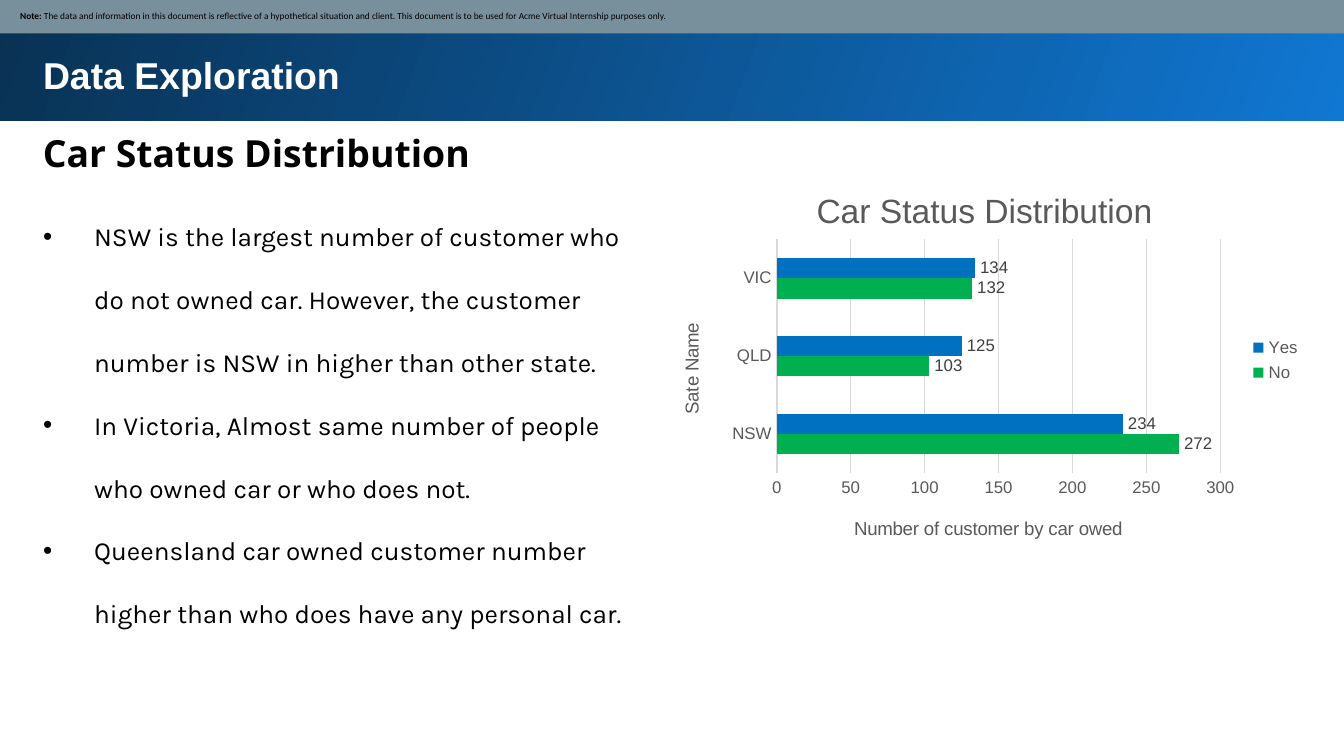
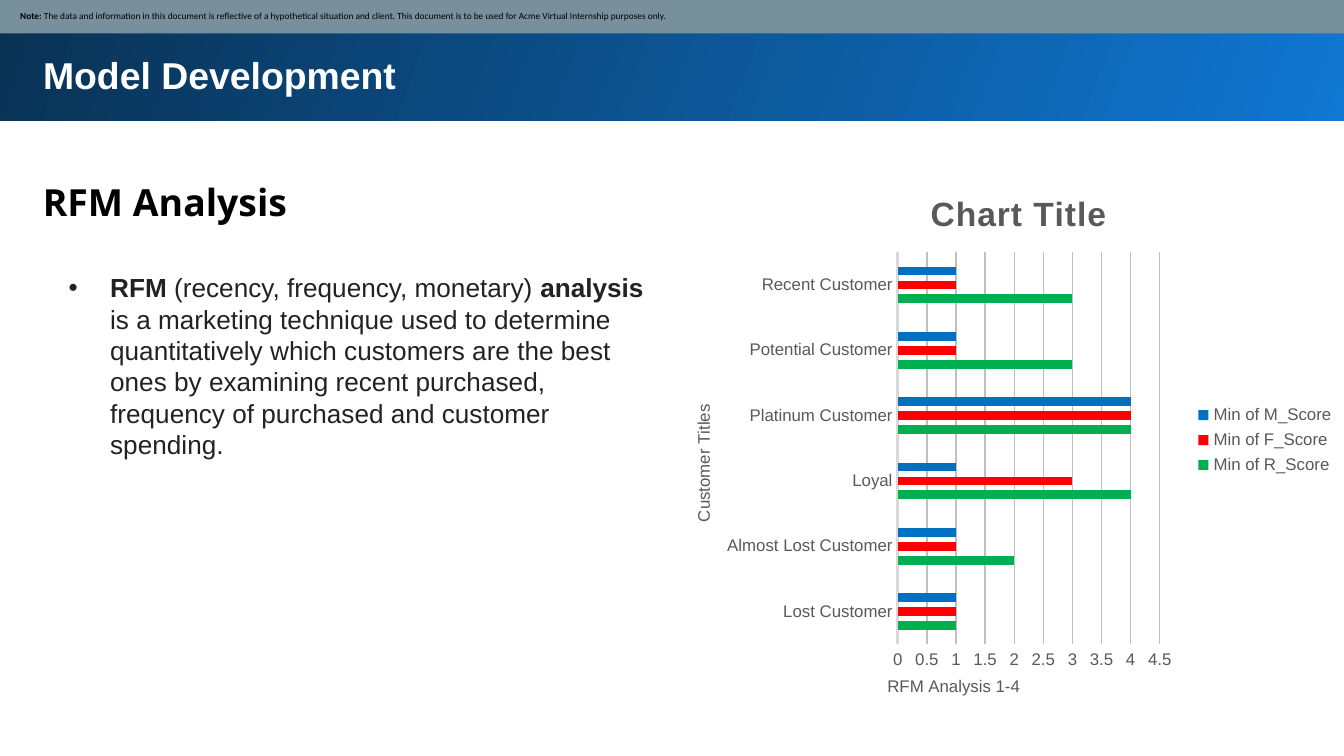
import pptx
import pptx.util
import pptx.chart.data
import pptx.dml.color
import pptx.enum.chart
import pptx.enum.shapes
import pptx.enum.text
import pptx.oxml
import pptx.oxml.ns

RGBColor = pptx.dml.color.RGBColor
Pt = pptx.util.Pt

WHITE = RGBColor(0xFF, 0xFF, 0xFF)
BLACK = RGBColor(0x00, 0x00, 0x00)
INK = RGBColor(0x22, 0x22, 0x22)
SLATE = RGBColor(0x78, 0x90, 0x9C)
BAND_BRIGHT = RGBColor(0x10, 0x77, 0xD2)
BAND_DARK = RGBColor(0x09, 0x31, 0x53)
GREY = RGBColor(0x59, 0x59, 0x59)
LABEL_GREY = RGBColor(0x40, 0x40, 0x40)
LIGHT = RGBColor(0xD9, 0xD9, 0xD9)
MID_LIGHT = RGBColor(0xBF, 0xBF, 0xBF)
BLUE = RGBColor(0x00, 0x70, 0xC0)
GREEN = RGBColor(0x00, 0xB0, 0x50)
RED = RGBColor(0xFF, 0x00, 0x00)

CELL = pptx.util.Inches(0.1)
COLS, ROWS = 100, 56.25
NOTE = ("The data and information in this document is reflective of a hypothetical "
        "situation and client. This document is to be used for Acme Virtual "
        "Internship purposes only.")


def grid(*cells):
    return [round(c * CELL) for c in cells]


def place(sp, box):
    sp.left, sp.top, sp.width, sp.height = grid(*box)


def set_font(font, size, color, name="Arial", bold=False):
    font.size, font.name, font.bold = Pt(size), name, bold
    font.color.rgb = color


def set_frame(sp, inset_x=1, inset_y=1, anchor=pptx.enum.text.MSO_ANCHOR.TOP):
    tf = sp.text_frame
    tf.word_wrap = True
    tf.auto_size = pptx.enum.text.MSO_AUTO_SIZE.NONE
    tf.vertical_anchor = anchor
    tf.margin_left = tf.margin_right = round(inset_x * CELL)
    tf.margin_top = tf.margin_bottom = round(inset_y * CELL)
    return tf


def add_rect(s, box):
    sp = s.shapes.add_shape(pptx.enum.shapes.MSO_SHAPE.RECTANGLE, *grid(*box))
    sp.shadow.inherit = False
    sp.line.fill.background()
    return sp


def add_bands(s):
    band = add_rect(s, (-0.2, -0.2, COLS + 0.5, 9.2))
    band.fill.gradient()
    band.fill.gradient_angle = 160
    for stop, color in zip(band.fill.gradient_stops, (BAND_BRIGHT, BAND_DARK)):
        stop.color.rgb = color
    band.element.getparent().insert(2, band.element)

    strip = add_rect(s, (-0.1, -0.1, COLS + 0.3, 2.6))
    strip.fill.solid()
    strip.fill.fore_color.rgb = SLATE
    tf = set_frame(strip, 1.6, 0.5, pptx.enum.text.MSO_ANCHOR.MIDDLE)
    p = tf.paragraphs[0]
    p.alignment = pptx.enum.text.PP_ALIGN.LEFT
    set_font(p.font, 5, BLACK, "Calibri")
    add_runs(p, [("Note: ", True), (NOTE, False)])


def add_runs(p, runs):
    for text, bold in runs:
        r = p.add_run()
        r.text, r.font.bold = text, bold


def write_line(sp, text, color, font, spacing):
    p = set_frame(sp).paragraphs[0]
    p.text = text
    p.alignment = pptx.enum.text.PP_ALIGN.LEFT
    p.line_spacing = spacing
    set_font(p.font, 20, color, font, True)


def new_slide(prs, title, heading, heading_row):
    s = prs.slides.add_slide(prs.slide_layouts[1])
    add_bands(s)
    place(s.shapes.title, (2.2, 2.9, 93.7, 5.4))
    write_line(s.shapes.title, title, WHITE, "Arial", 1.0)
    sp = s.shapes.add_textbox(*grid(2.2, heading_row, 93.7, 5.6))
    write_line(sp, heading, BLACK, "Open Sans", 1.15)
    return s


def fill_list(s, box, items, font, color, spacing, indent):
    sp = s.placeholders[1]
    place(sp, box)
    tf = set_frame(sp, 1, 0.5)
    for i, runs in enumerate(items):
        p = tf.add_paragraph() if i else tf.paragraphs[0]
        p.line_spacing, p.space_before = spacing, Pt(0)
        set_font(p.font, 14, color, font)
        pPr = p._p.get_or_add_pPr()
        pPr.set("marL", str(round(indent * CELL)))
        pPr.set("indent", str(round(-indent * CELL)))
        add_runs(p, runs)


def manual_layout(x, y, w=None, h=None):
    tags = [("xMode", "edge"), ("yMode", "edge"), ("x", x), ("y", y)]
    if w:
        tags = [("layoutTarget", "inner")] + tags + [("w", w), ("h", h)]
    inner = "".join(f'<c:{tag} val="{val}"/>' for tag, val in tags)
    return pptx.oxml.parse_xml(
        f'<c:layout {pptx.oxml.ns.nsdecls("c")}><c:manualLayout>{inner}'
        "</c:manualLayout></c:layout>")


def set_layout(parent, layout, index):
    for old in parent.findall(pptx.oxml.ns.qn("c:layout")):
        parent.remove(old)
    parent.insert(index, layout)


def set_title(title, text, size, spot, bold=False):
    p = title.text_frame.paragraphs[0]
    p.text = text
    set_font(p.font, size, GREY, bold=bold)
    set_layout(title._element, manual_layout(*spot), 1)
    return p


def style_axis(axis, title, size, spot):
    axis.major_tick_mark = axis.minor_tick_mark = pptx.enum.chart.XL_TICK_MARK.NONE
    set_font(axis.tick_labels.font, 9, GREY)
    set_title(axis.axis_title, title, size, spot)


def add_bars(s, box, cats, series, plot_box, gap, overlap, scale, grid_color, axis_width):
    data = pptx.chart.data.CategoryChartData()
    data.categories = cats
    for name, vals, _ in series:
        data.add_series(name, vals)
    chart = s.shapes.add_chart(pptx.enum.chart.XL_CHART_TYPE.BAR_CLUSTERED,
                               *grid(*box), data).chart
    set_font(chart.font, 10, BLACK)
    chart.has_legend = True
    chart.legend.position = pptx.enum.chart.XL_LEGEND_POSITION.RIGHT
    chart.legend.include_in_layout = False
    set_font(chart.legend.font, 9, GREY)

    plot = chart.plots[0]
    plot.vary_by_categories = False
    plot.gap_width, plot.overlap = gap, overlap
    for ser, (_, _, color) in zip(plot.series, series):
        ser.format.fill.solid()
        ser.format.fill.fore_color.rgb = color
    set_layout(plot._element.getparent(), manual_layout(*plot_box), 0)

    chart.category_axis.format.line.color.rgb = LIGHT
    chart.category_axis.format.line.width = Pt(axis_width)
    axis = chart.value_axis
    axis.minimum_scale = 0
    axis.maximum_scale, axis.major_unit = scale
    axis.format.line.fill.background()
    axis.major_gridlines.format.line.color.rgb = grid_color
    axis.major_gridlines.format.line.width = Pt(0.75)
    return chart


def show_values(chart):
    for ser in chart.plots[0].series:
        labels = ser.data_labels
        labels.show_value = True
        labels.position = pptx.enum.chart.XL_LABEL_POSITION.OUTSIDE_END
        set_font(labels.font, 9, LABEL_GREY)


def data_exploration(prs):
    s = new_slide(prs, "Data Exploration", "Car Status Distribution", 8.2)
    points = [
        "NSW is the largest number of customer who do not owned car. However, "
        "the customer number is NSW in higher than other state.",
        "In Victoria, Almost same number of people who owned car or who does not.",
        "Queensland car owned customer number higher than who does have any personal car.",
    ]
    fill_list(s, (2.2, 13.6, 46.9, 33.3), [[(t, False)] for t in points],
              "Karla", BLACK, 2.0, 3.8)
    chart = add_bars(
        s, (47.8, 11.8, 50, 30), ["NSW", "QLD", "VIC"],
        [("No", (272, 103, 132), GREEN), ("Yes", (234, 125, 134), BLUE)],
        (0.2, 0.2, 0.66, 0.58), 182, 0, (300, 50), LIGHT, 0.75)
    set_title(chart.chart_title, "Car Status Distribution", 18, (0.25, 0.06))
    style_axis(chart.category_axis, "Sate Name", 10, (0.05, 0.4))
    style_axis(chart.value_axis, "Number of customer by car owed", 10, (0.31, 0.88))
    show_values(chart)


def model_development(prs):
    s = new_slide(prs, "Model Development", "RFM Analysis", 11.8)
    definition = [
        ("RFM", True),
        (" (recency, frequency, monetary) ", False),
        ("analysis", True),
        (" is a marketing technique used to determine quantitatively which customers "
         "are the best ones by examining recent purchased, frequency of purchased "
         "and customer spending.", False),
    ]
    fill_list(s, (4.1, 19.7, 45.9, 15.1), [definition], "Arial", INK, 1.0, 3.1)
    chart = add_bars(
        s, (50.3, 12.2, 50, 41.1),
        ["Lost Customer", "Almost Lost Customer", "Loyal", "Platinum Customer",
         "Potential Customer", "Recent Customer"],
        [("Min of R_Score", (1, 2, 4, 4, 3, 3), GREEN),
         ("Min of F_Score", (1, 1, 3, 4, 1, 1), RED),
         ("Min of M_Score", (1, 1, 1, 4, 1, 1), BLUE)],
        (0.33, 0.16, 0.39, 0.71), 326, -58, (4.5, 0.5), MID_LIGHT, 1.5)
    p = set_title(chart.chart_title, "Chart Title", 18, (0.37, 0.04), True)
    p.runs[0].font._element.set("spc", "50")
    style_axis(chart.category_axis, "Customer Titles", 9, (0.02, 0.43))
    style_axis(chart.value_axis, "RFM Analysis 1-4", 9, (0.31, 0.92))


def main():
    prs = pptx.Presentation()
    prs.slide_width, prs.slide_height = grid(COLS, ROWS)
    data_exploration(prs)
    model_development(prs)
    prs.save("out.pptx")


if __name__ == "__main__":
    main()
